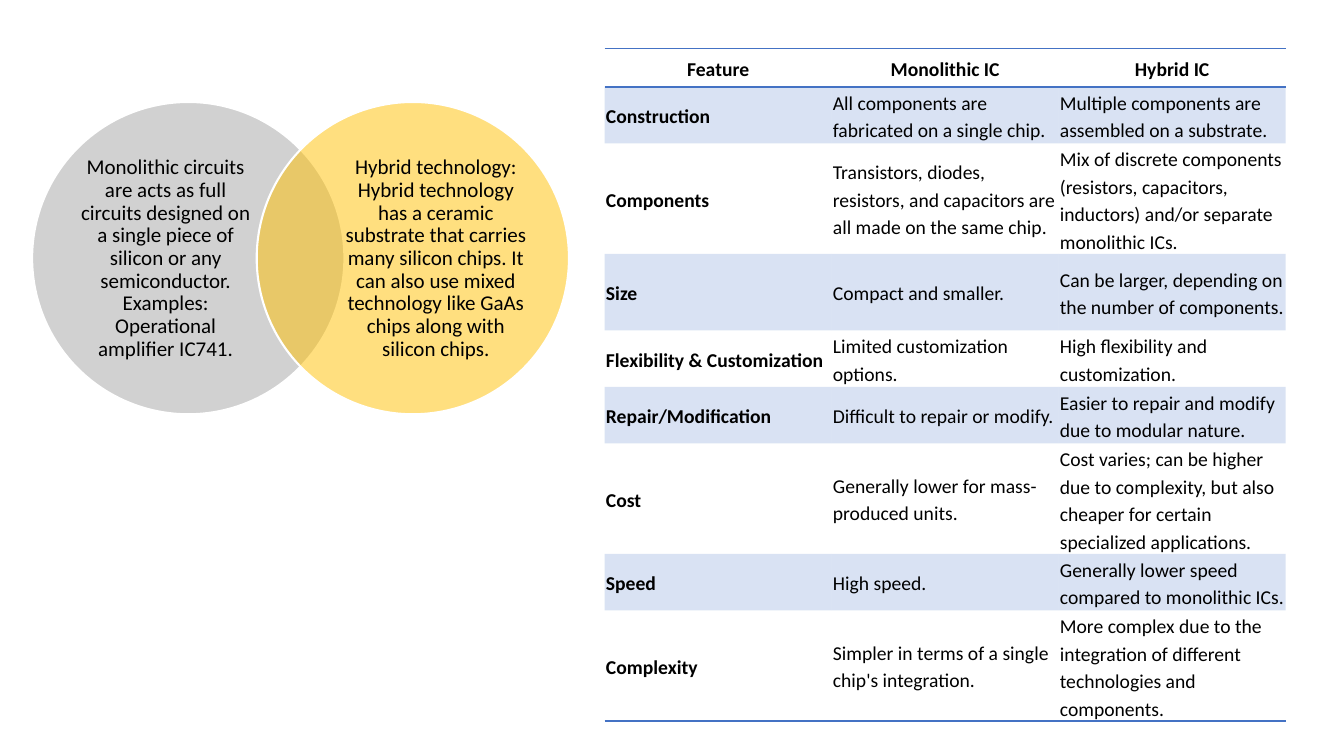
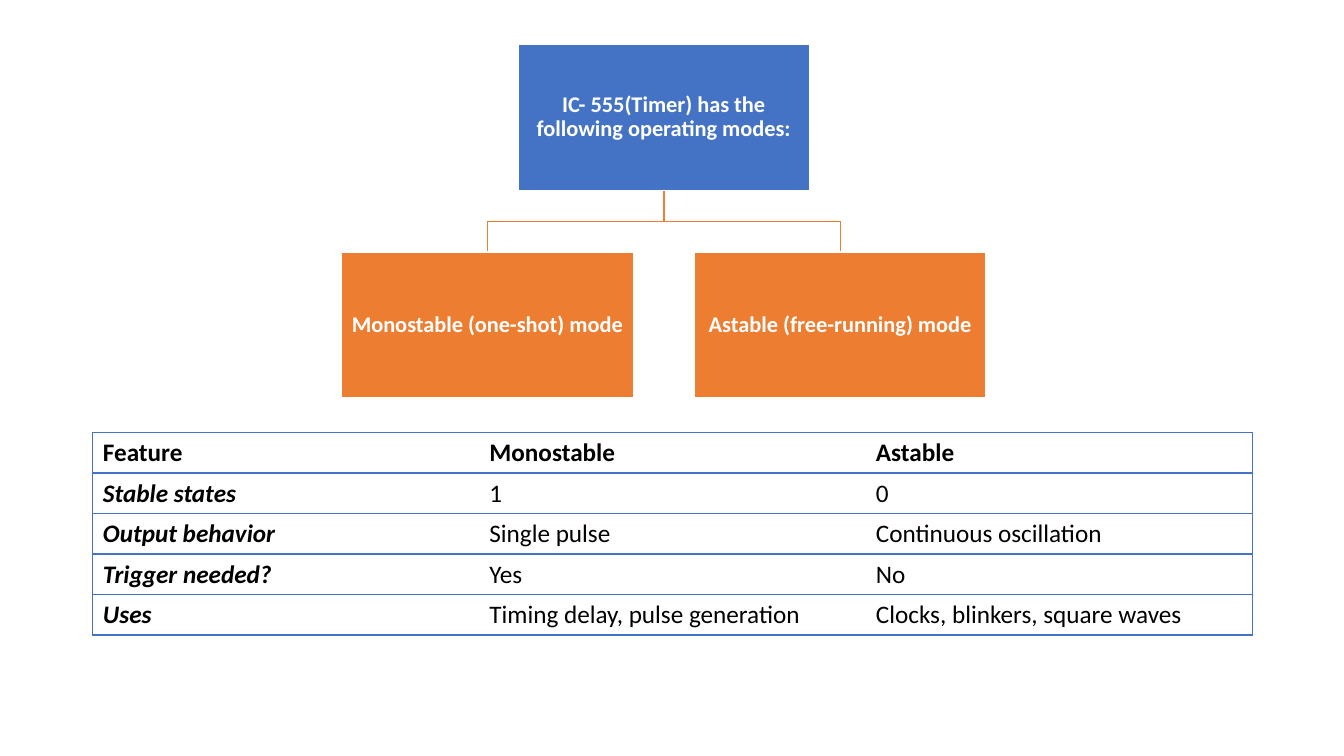
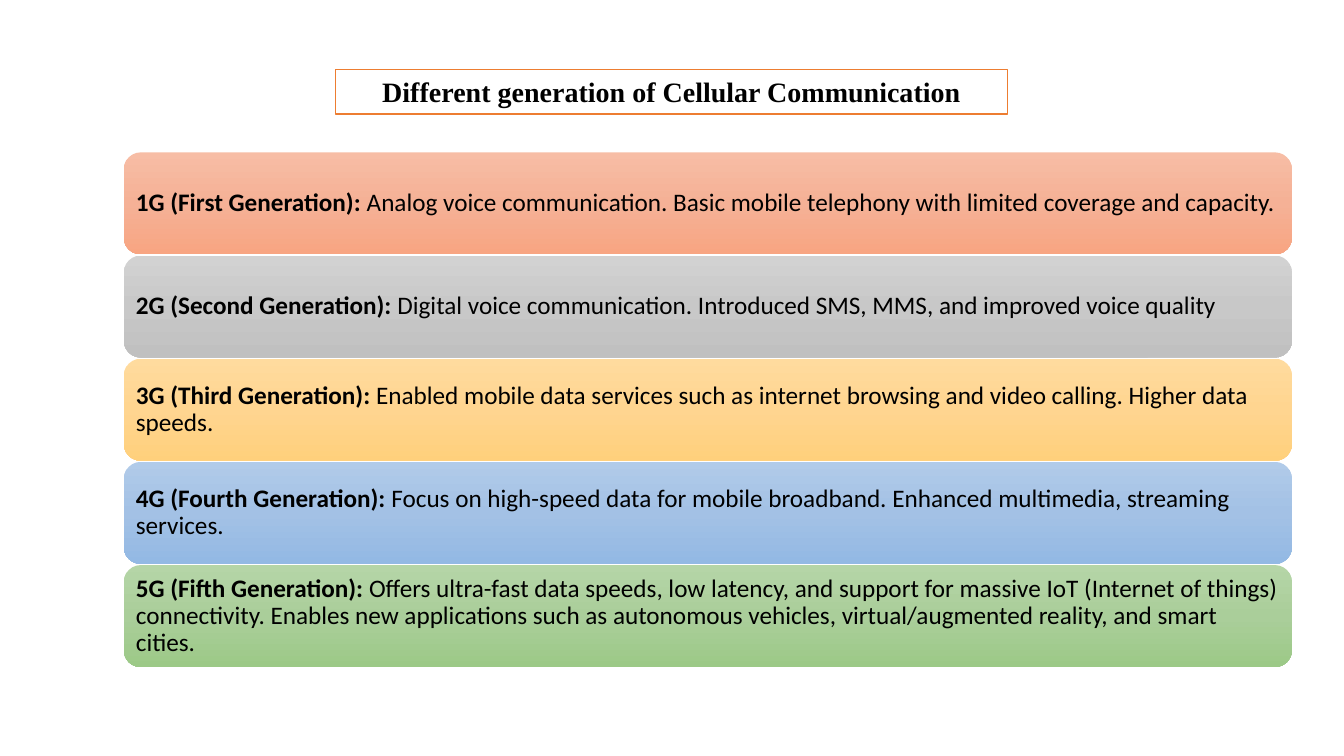
from copy import deepcopy

from pptx import Presentation
from pptx.dml.color import RGBColor
from pptx.enum.shapes import MSO_SHAPE
from pptx.enum.text import MSO_ANCHOR, PP_ALIGN
from pptx.oxml import parse_xml
from pptx.oxml.ns import nsdecls, qn
from pptx.util import Cm, Pt

BLACK = RGBColor(0x00, 0x00, 0x00)
WHITE = RGBColor(0xFF, 0xFF, 0xFF)
BLUE = RGBColor(0x44, 0x72, 0xC4)
ORANGE = RGBColor(0xED, 0x7D, 0x31)
GRAY = RGBColor(0xA5, 0xA5, 0xA5)
GOLD = RGBColor(0xFF, 0xC0, 0x00)
BODY_FONT = "Calibri"
TITLE_FONT = "Times New Roman"
NO_GRID_STYLE = "{2D5ABB26-0587-4C30-8999-92F81FD0307C}"

VENN = [
    (GRAY, 1.09, "Monolithic circuits are acts as full circuits designed on a single piece of "
                 "silicon or any semiconductor. Examples: Operational amplifier IC741."),
    (GOLD, 2.24, "Hybrid technology: Hybrid technology has a ceramic substrate that carries many "
                 "silicon chips. It can also use mixed technology like GaAs chips along with "
                 "silicon chips."),
]
IC_ROWS = [
    ("Feature", "Monolithic IC", "Hybrid IC"),
    ("Construction", "All components are fabricated on a single chip.",
     "Multiple components are assembled on a substrate."),
    ("Components", "Transistors, diodes, resistors, and capacitors are all made on the same chip.",
     "Mix of discrete components (resistors, capacitors, inductors) and/or separate monolithic ICs."),
    ("Size", "Compact and smaller.", "Can be larger, depending on the number of components."),
    ("Flexibility & Customization", "Limited customization options.",
     "High flexibility and customization."),
    ("Repair/Modification", "Difficult to repair or modify.",
     "Easier to repair and modify due to modular nature."),
    ("Cost", "Generally lower for mass-produced units.",
     "Cost varies; can be higher due to complexity, but also cheaper for certain specialized "
     "applications."),
    ("Speed", "High speed.", "Generally lower speed compared to monolithic ICs."),
    ("Complexity", "Simpler in terms of a single chip's integration.",
     "More complex due to the integration of different technologies and components."),
]
IC_HEIGHTS = [0.97, 0.97, 1.93, 1.93, 0.97, 0.97, 1.93, 0.97, 1.93]
TIMER_ROOT = "IC- 555(Timer) has the following operating modes:"
TIMER_MODES = ["Monostable (one-shot) mode", "Astable (free-running) mode"]
TIMER_ROWS = [
    ("Feature", "Monostable", "Astable"),
    ("Stable states", "1", "0"),
    ("Output behavior", "Single pulse", "Continuous oscillation"),
    ("Trigger needed?", "Yes", "No"),
    ("Uses", "Timing delay, pulse generation", "Clocks, blinkers, square waves"),
]
GENERATIONS = [
    ("1G (First Generation):",
     " Analog voice communication. Basic mobile telephony with limited coverage and capacity.",
     ("F7BDA5", "F5B196", "F8A582")),
    ("2G (Second Generation):",
     " Digital voice communication. Introduced SMS, MMS, and improved voice quality",
     ("D2D2D2", "C8C8C8", "C0C0C0")),
    ("3G (Third Generation):",
     " Enabled mobile data services such as internet browsing and video calling. Higher data speeds.",
     ("FFDB9E", "FFD590", "FFD07C")),
    ("4G (Fourth Generation):",
     " Focus on high-speed data for mobile broadband. Enhanced multimedia, streaming services.",
     ("B1CBE9", "A3C1E5", "93B9E4")),
    ("5G (Fifth Generation):",
     " Offers ultra-fast data speeds, low latency, and support for massive IoT (Internet of things) "
     "connectivity. Enables new applications such as autonomous vehicles, virtual/augmented "
     "reality, and smart cities.",
     ("B5D5A7", "AACE9A", "9CC987")),
]


def style_font(font, size, color=BLACK, bold=False, italic=False, name=BODY_FONT):
    font.name, font.size, font.bold, font.italic = name, Pt(size), bold, italic
    font.color.rgb = color


def set_margins(target, margin):
    target.margin_left = target.margin_right = Cm(margin)
    target.margin_top = target.margin_bottom = Cm(margin)


def set_alpha(element, percent):
    color = element.find(qn("a:solidFill"))[0]
    color.append(parse_xml(f'<a:alpha {nsdecls("a")} val="{percent * 1000}"/>'))


def write_text(sp, parts, size, color=BLACK, align=PP_ALIGN.CENTER, margin=0.0,
               spacing=0.9, name=BODY_FONT):
    tf = sp.text_frame
    tf.word_wrap = True
    tf.vertical_anchor = MSO_ANCHOR.MIDDLE
    set_margins(tf, margin)
    p = tf.paragraphs[0]
    p.alignment, p.line_spacing = align, spacing
    for text, bold in parts:
        r = p.add_run()
        r.text = text
        style_font(r.font, size, color, bold, name=name)


def add_box(s, kind, left, top, width, height, fill=None, line=None, line_width=1.0):
    sp = s.shapes.add_shape(kind, Cm(left), Cm(top), Cm(width), Cm(height))
    sp.shadow.inherit = False
    if fill is not None:
        sp.fill.solid()
        sp.fill.fore_color.rgb = fill
    if line is None:
        sp.line.fill.background()
    else:
        sp.line.color.rgb = line
        sp.line.width = Pt(line_width)
    return sp


def add_borders(cell, sides):
    tc_pr = cell._tc.get_or_add_tcPr()
    for i, side in enumerate(side for side in "LRTB" if side in sides):
        tc_pr.insert(i, parse_xml(
            f'<a:ln{side} {nsdecls("a")} w="12700"><a:solidFill>'
            f'<a:srgbClr val="{BLUE}"/></a:solidFill></a:ln{side}>'))


def add_grid(s, left, top, col_width, heights, rows, style_cell):
    cols = len(rows[0])
    frame = s.shapes.add_table(len(rows), cols, Cm(left), Cm(top),
                               Cm(col_width * cols), Cm(sum(heights)))
    table = frame.table
    table._tbl.tblPr.find(qn("a:tableStyleId")).text = NO_GRID_STYLE
    table.first_row = table.horz_banding = False
    for column in table.columns:
        column.width = Cm(col_width)
    for i, row in enumerate(rows):
        table.rows[i].height = Cm(heights[i])
        for j, text in enumerate(row):
            cell = table.cell(i, j)
            cell.text_frame.text = text
            cell.vertical_anchor = MSO_ANCHOR.MIDDLE
            style_cell(cell, i, j)


def style_ic_cell(cell, i, j):
    set_margins(cell, 0.03)
    p = cell.text_frame.paragraphs[0]
    p.line_spacing = 1.15
    p.alignment = PP_ALIGN.CENTER if i == 0 else PP_ALIGN.LEFT
    style_font(p.runs[0].font, 14, bold=i == 0 or j == 0)
    if i % 2:
        cell.fill.solid()
        cell.fill.fore_color.rgb = BLUE
        set_alpha(cell._tc.tcPr, 20)
    else:
        cell.fill.background()
    add_borders(cell, {0: "TB", len(IC_ROWS) - 1: "B"}.get(i, ""))


def style_timer_cell(cell, i, j):
    style_font(cell.text_frame.paragraphs[0].runs[0].font, 18,
               bold=i == 0 or j == 0, italic=i > 0 and j == 0)
    cell.fill.solid()
    cell.fill.fore_color.rgb = WHITE
    add_borders(cell, ("LTB", "TB", "RTB")[j])


def add_venn(s, left, top, diameter, step):
    for i, (color, inset, text) in enumerate(VENN):
        x = left + i * step
        circle = add_box(s, MSO_SHAPE.OVAL, x, top, diameter, diameter, color, WHITE, 1.5)
        set_alpha(circle._element.spPr, 50)
        label = s.shapes.add_textbox(Cm(x + inset), Cm(top + 0.94), Cm(4.55), Cm(6.02))
        write_text(label, [(text, False)], 15)


def add_mode_tree(s, left, top, width, height, step, drop):
    root_left = left + step / 2
    center, bottom = root_left + width / 2, top + height
    child_top = top + drop
    middle = (bottom + child_top) / 2
    for i in range(len(TIMER_MODES)):
        child_center = left + i * step + width / 2
        builder = s.shapes.build_freeform(Cm(center), Cm(bottom))
        builder.add_line_segments(
            [(Cm(x), Cm(y)) for x, y in
             ((center, middle), (child_center, middle), (child_center, child_top))], close=False)
        branch = builder.convert_to_shape()
        branch.shadow.inherit = False
        branch.fill.background()
        branch.line.color.rgb = ORANGE
        branch.line.width = Pt(1)
    boxes = [(TIMER_ROOT, root_left, top, BLUE)]
    boxes += [(mode, left + i * step, child_top, ORANGE) for i, mode in enumerate(TIMER_MODES)]
    for text, x, y, color in boxes:
        sp = add_box(s, MSO_SHAPE.RECTANGLE, x, y, width, height, color, WHITE)
        write_text(sp, [(text, True)], 16, WHITE, margin=0.03)


def add_title(s, left, top, width, height):
    sp = add_box(s, MSO_SHAPE.RECTANGLE, left, top, width, height, WHITE, ORANGE)
    write_text(sp, [("Different generation of Cellular Communication", True)], 20,
               margin=0.13, spacing=1.0, name=TITLE_FONT)


def add_generation_bars(s, left, top, width, height, step):
    for i, (label, detail, colors) in enumerate(GENERATIONS):
        bar = add_box(s, MSO_SHAPE.ROUNDED_RECTANGLE, left, top + i * step, width, height)
        bar.fill.gradient()
        bar.fill.gradient_angle = 270
        stops = bar._element.spPr.find(".//" + qn("a:gsLst"))
        stops.insert(1, deepcopy(stops[0]))
        for stop, color, position in zip(bar.fill.gradient_stops, colors, (0, 0.5, 1)):
            stop.color.rgb = RGBColor.from_string(color)
            stop.position = position
        write_text(bar, [(label, True), (detail, False)], 18,
                   align=PP_ALIGN.LEFT, margin=0.18)


def build_ic_slide(s):
    add_venn(s, 0.81, 2.57, 7.87, 5.66)
    add_grid(s, 15.24, 1.22, 5.72, IC_HEIGHTS, IC_ROWS, style_ic_cell)


def build_timer_slide(s):
    add_mode_tree(s, 8.61, 1.12, 7.35, 3.68, 8.89, 5.23)
    add_grid(s, 2.34, 10.9, 9.74, [1.02] * len(TIMER_ROWS), TIMER_ROWS, style_timer_cell)


def build_cellular_slide(s):
    add_title(s, 8.46, 1.75, 16.93, 1.12)
    add_generation_bars(s, 3.12, 3.84, 29.44, 2.57, 2.6)


def main():
    prs = Presentation()
    prs.slide_width, prs.slide_height = Cm(33.87), Cm(19.05)
    for build in (build_ic_slide, build_timer_slide, build_cellular_slide):
        build(prs.slides.add_slide(prs.slide_layouts[6]))
    prs.save("out.pptx")


if __name__ == "__main__":
    main()
